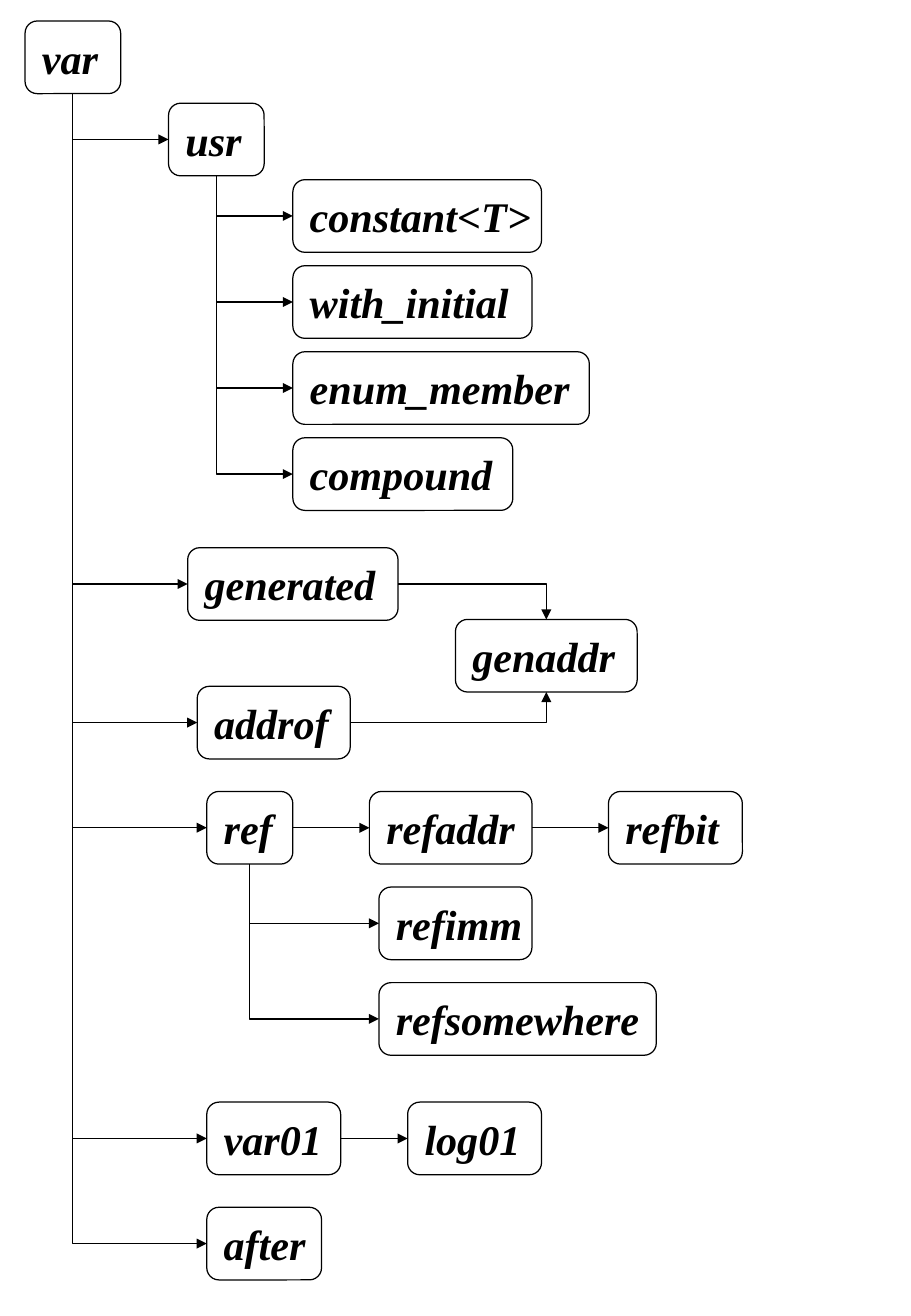
from dataclasses import dataclass

from pptx import Presentation
from pptx import util as u
from pptx.dml.color import RGBColor
from pptx.enum import shapes, text
from pptx.oxml import ns
from lxml import etree

TOP, LEFT, BOTTOM, RIGHT = range(4)


@dataclass(frozen=True)
class Theme:
    """Colours, type and the 2 mm grid of the diagram."""
    ink: RGBColor = RGBColor(0, 0, 0)
    font: str = "Times New Roman"
    size: int = u.Pt(25)
    line: int = u.Pt(0.75)
    cell: int = u.Mm(2)
    left: int = u.Mm(5.25)
    top: int = u.Mm(3.6)
    box_rows: float = 7.6


class Diagram:
    """Draws class boxes and arrows on the current slide."""

    def __init__(self, prs, theme):
        """Add a blank slide and keep the theme."""
        self.theme = theme
        self.slide = prs.slides.add_slide(prs.slide_layouts[6])
        self.boxes = {}

    def format(self, target, values):
        """Set each attribute of the target."""
        for name, value in values.items():
            setattr(target, name, value)

    def stroke(self, sp):
        """Give a shape or connector the theme's line."""
        sp.line.color.rgb = self.theme.ink
        sp.line.width = self.theme.line

    def box(self, name, col, row, cols):
        """Place a rounded box by grid column and row."""
        t = self.theme
        sp = self.slide.shapes.add_shape(
            shapes.MSO_SHAPE.ROUNDED_RECTANGLE,
            round(t.left + col * t.cell), round(t.top + row * t.cell),
            round(cols * t.cell), round(t.box_rows * t.cell))
        sp.shadow.inherit = False
        sp.fill.background()
        self.stroke(sp)
        tf = sp.text_frame
        self.format(tf, {
            "word_wrap": False, "vertical_anchor": text.MSO_ANCHOR.MIDDLE,
            "margin_left": u.Inches(0.11), "margin_right": u.Inches(0.11),
            "margin_top": u.Inches(0.05), "margin_bottom": u.Inches(0.05)})
        p = tf.paragraphs[0]
        p.alignment = text.PP_ALIGN.LEFT
        r = p.add_run()
        r.text = name
        self.format(r.font, {"name": t.font, "size": t.size, "bold": True, "italic": True})
        r.font.color.rgb = t.ink
        self.boxes[name] = sp

    def link(self, start, end, leave, enter, head="tailEnd"):
        """Join two boxes, straight or with one bend, arrowhead at one end."""
        straight = (leave, enter) == (RIGHT, LEFT)
        kind = shapes.MSO_CONNECTOR.STRAIGHT if straight else shapes.MSO_CONNECTOR.ELBOW
        c = self.slide.shapes.add_connector(kind, 0, 0, 0, 0)
        c.begin_connect(self.boxes[start], leave)
        c.end_connect(self.boxes[end], enter)
        self.stroke(c)
        pr = c._element.spPr
        if not straight:
            pr.find(ns.qn("a:prstGeom")).set("prst", "bentConnector2")
        etree.SubElement(pr.find(ns.qn("a:ln")), ns.qn(f"a:{head}"), type="triangle")
        etree.SubElement(pr, ns.qn("a:effectLst"))


BOXES = [
    ("var", 0, 0.4, 10),
    ("usr", 15, 9, 10),
    ("constant<T>", 28, 17, 26),
    ("with_initial", 28, 26, 25),
    ("enum_member", 28, 35, 31),
    ("compound", 28, 44, 23),
    ("generated", 17, 55.5, 22),
    ("genaddr", 45, 63, 19),
    ("addrof", 18, 70, 16),
    ("ref", 19, 81, 9),
    ("refaddr", 36, 81, 17),
    ("refbit", 61, 81, 14),
    ("refimm", 37, 91, 16),
    ("refsomewhere", 37, 101, 29),
    ("var01", 19, 113.5, 14),
    ("log01", 40, 113.5, 14),
    ("after", 19, 124.5, 12),
]
TREES = {
    "var": ["usr", "generated", "addrof", "ref", "var01", "after"],
    "usr": ["constant<T>", "with_initial", "enum_member", "compound"],
    "ref": ["refimm", "refsomewhere"],
}
CHAINS = [("ref", "refaddr"), ("refaddr", "refbit"), ("var01", "log01")]


def main():
    """Build the class hierarchy slide."""
    prs = Presentation()
    prs.slide_width, prs.slide_height = u.Inches(7.5), u.Inches(10.84)
    s = Diagram(prs, Theme())
    for box in BOXES:
        s.box(*box)
    for parent, children in TREES.items():
        for child in children:
            s.link(child, parent, LEFT, BOTTOM, "headEnd")
    for start, end in CHAINS:
        s.link(start, end, RIGHT, LEFT)
    s.link("generated", "genaddr", RIGHT, TOP)
    s.link("addrof", "genaddr", RIGHT, BOTTOM)
    prs.save("out.pptx")


if __name__ == "__main__":
    main()
